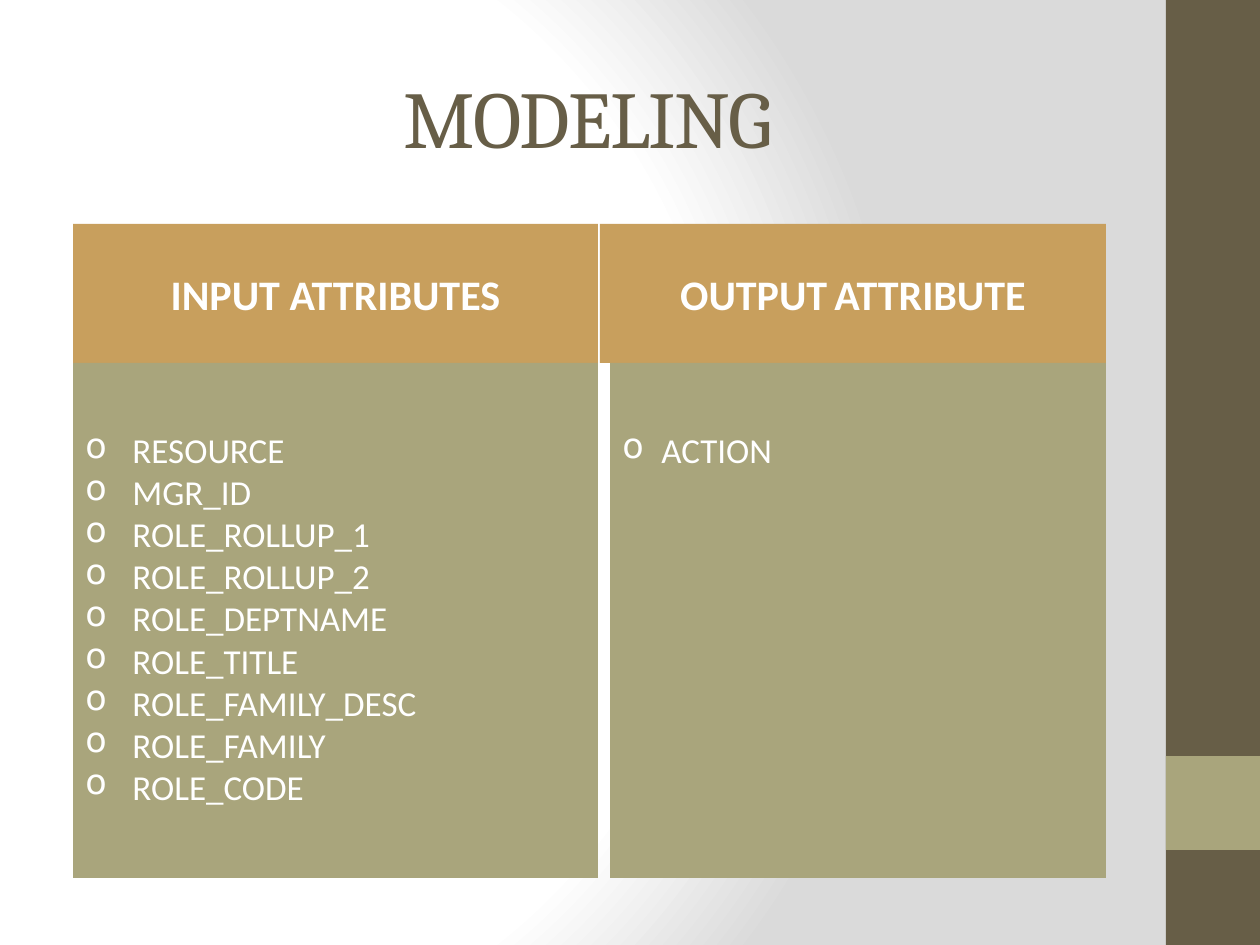
import pptx
import pptx.util
import pptx.oxml
import pptx.oxml.ns
import pptx.dml.color
import pptx.enum.shapes
import pptx.enum.text
from lxml import etree

PX = 914400 // 126
BROWN, GREEN, GOLD, WHITE = "675E47", "A9A57C", "C89F5D", "FFFFFF"
ALIGN = pptx.enum.text.PP_ALIGN
ANCHOR = pptx.enum.text.MSO_ANCHOR

# Content
TITLE = "MODELING"
SIDE_BARS = [(1166, 0, 94, 945, BROWN), (1166, 756, 94, 94, GREEN)]
GRADIENT = [(0, "FFFFFF"), (75, "FFFFFF"), (100, "DADADA")]
COLUMNS = [
    {
        "heading": [("INPUT ATTRIBUTES", 24)],
        "heading_span": (73, 525),
        "items": ["RESOURCE", "MGR_ID", "ROLE_ROLLUP_1", "ROLE_ROLLUP_2",
                  "ROLE_DEPTNAME", "ROLE_TITLE", "ROLE_FAMILY_DESC",
                  "ROLE_FAMILY", "ROLE_CODE"],
        "items_span": (73, 525),
        "indent": 47,
    },
    {
        "heading": [("OUTPUT", 24), (" ", 18), ("ATTRIBUTE", 24)],
        "heading_span": (600, 506),
        "items": ["ACTION"],
        "items_span": (610, 496),
        "indent": 39,
    },
]
HEADING_TOP, HEADING_HEIGHT, ITEMS_HEIGHT = 224, 139, 515
LIST_INSET = 66


def rgb(value):
    return pptx.dml.color.RGBColor.from_string(value)


def add_box(page, left, top, width, height, fill):
    box = page.shapes.add_shape(
        pptx.enum.shapes.MSO_SHAPE.RECTANGLE,
        left * PX, top * PX, width * PX, height * PX)
    box.shadow.inherit = False
    box.fill.solid()
    box.fill.fore_color.rgb = rgb(fill)
    box.line.fill.background()
    box.text_frame.word_wrap = True
    return box


def add_span(para, text, size, color=WHITE, font="Calibri", bold=False):
    span = para.add_run()
    span.text = text
    span.font.size = pptx.util.Pt(size)
    span.font.name = font
    span.font.bold = bold
    span.font.color.rgb = rgb(color)
    return span


def add_bullet(para, indent):
    props = para._p.get_or_add_pPr()
    props.set("marL", str(indent * PX))
    props.set("indent", str(-indent * PX))
    etree.SubElement(props, pptx.oxml.ns.qn("a:buChar")).set("char", "o")


def set_background(page):
    stops = "".join(
        f'<a:gs pos="{place * 1000}"><a:srgbClr val="{color}"/></a:gs>'
        for place, color in GRADIENT)
    page.element.cSld.insert(0, pptx.oxml.parse_xml(
        f'<p:bg {pptx.oxml.ns.nsdecls("p", "a")}><p:bgPr>'
        f'<a:gradFill rotWithShape="1"><a:gsLst>{stops}</a:gsLst>'
        '<a:path path="circle">'
        '<a:fillToRect l="20000" t="50000" r="100000" b="50000"/>'
        '</a:path></a:gradFill><a:effectLst/></p:bgPr></p:bg>'))


def add_title(page):
    title = page.shapes.title
    title.left, title.top = 63 * PX, 38 * PX
    title.width, title.height = 1050 * PX, 157 * PX
    title.text_frame.vertical_anchor = ANCHOR.MIDDLE
    para = title.text_frame.paragraphs[0]
    para.alignment = ALIGN.CENTER
    span = add_span(para, TITLE, 46, BROWN, "Cambria")
    span.font._element.set("spc", "-100")


def add_column(page, column):
    # Heading
    left, width = column["heading_span"]
    box = add_box(page, left, HEADING_TOP, width, HEADING_HEIGHT, GOLD)
    box.text_frame.vertical_anchor = ANCHOR.MIDDLE
    para = box.text_frame.paragraphs[0]
    para.alignment = ALIGN.CENTER
    for text, size in column["heading"]:
        add_span(para, text, size, bold=True)

    # Attribute list, first lines level across the columns
    left, width = column["items_span"]
    box = add_box(page, left, HEADING_TOP + HEADING_HEIGHT, width,
                  ITEMS_HEIGHT, GREEN)
    frame = box.text_frame
    frame.vertical_anchor = ANCHOR.TOP
    frame.margin_top = LIST_INSET * PX
    for index, text in enumerate(column["items"]):
        para = frame.add_paragraph() if index else frame.paragraphs[0]
        para.alignment = ALIGN.LEFT
        add_bullet(para, column["indent"])
        add_span(para, text, 20)


def main():
    deck = pptx.Presentation()
    deck.slide_width, deck.slide_height = 1260 * PX, 945 * PX
    page = deck.slides.add_slide(deck.slide_layouts[5])
    set_background(page)
    for bar in SIDE_BARS:
        add_box(page, *bar)
    add_title(page)
    for column in COLUMNS:
        add_column(page, column)
    deck.save("out.pptx")


if __name__ == "__main__":
    main()
